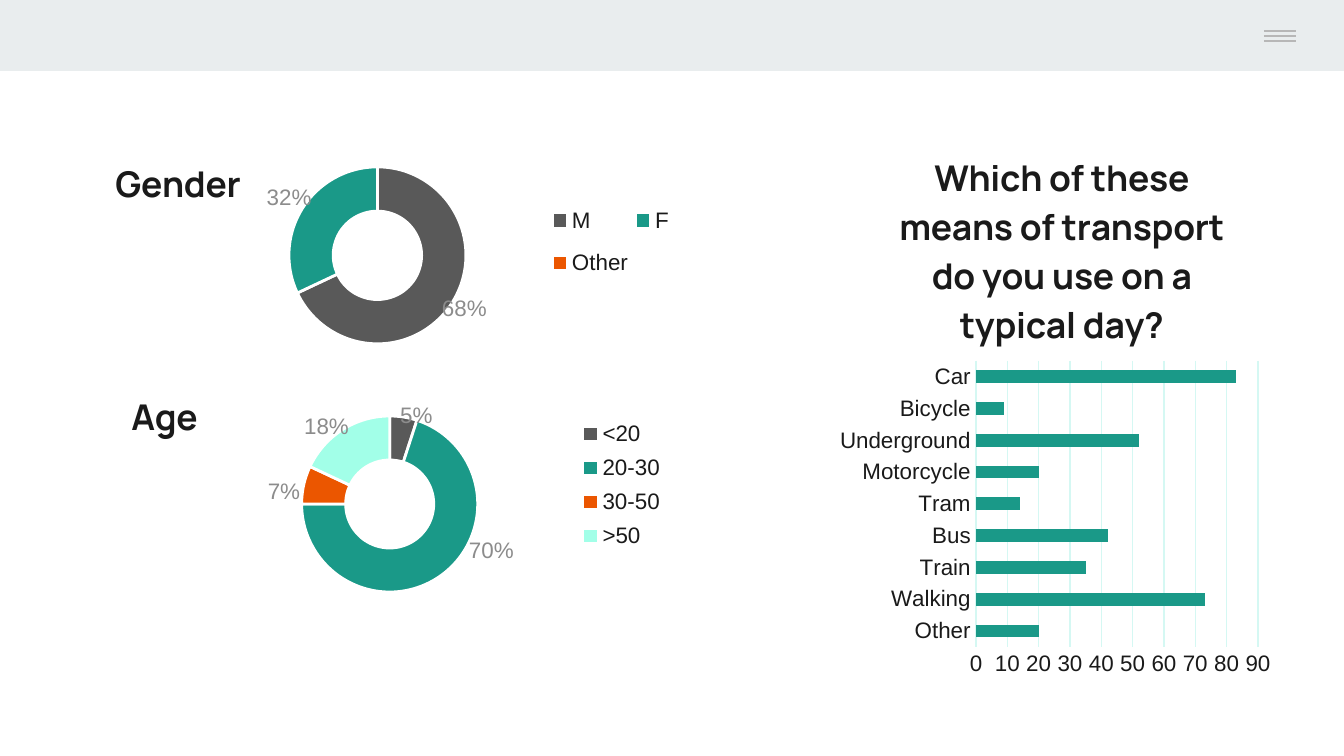
from copy import deepcopy
from dataclasses import dataclass

from pptx import Presentation
from pptx import util as u
from pptx.chart.data import CategoryChartData
from pptx.dml.color import RGBColor
from pptx.enum import chart as charts, shapes
from pptx.oxml import parse_xml
from pptx.oxml.ns import nsdecls, qn

SCALE = 914400 / 134.4


@dataclass(frozen=True)
class Theme:
    """Colours, fonts and type sizes of the slide."""
    band: str = "E9EDEE"
    menu: str = "B7B7B7"
    white: str = "FFFFFF"
    ink: str = "1A1A1A"
    label: str = "8C8C8C"
    grid: str = "D5F8F3"
    teal: str = "1A9988"
    slices: tuple = ("595959", "1A9988", "EB5600", "A2FFE8")
    body_font: str = "Arial"
    title_font: str = "Manrope"
    base_size: float = 10
    body_size: float = 12
    title_size: float = 19
    hairline: float = 0.75


THEME = Theme()


def px(length):
    """Turn whole px into EMU."""
    return u.Emu(round(length * SCALE))


def rgb(value):
    """Turn a hex string into a colour."""
    return RGBColor.from_string(value)


def style_font(font, colour, size=THEME.body_size, name=THEME.body_font, bold=False):
    """Set face, size, weight and colour of a font."""
    font.name, font.size, font.bold = name, u.Pt(size), bold
    font.color.rgb = rgb(colour)


def style_line(line, colour, width=THEME.hairline):
    """Set colour and width of a line."""
    line.color.rgb = rgb(colour)
    line.width = u.Pt(width)


def add_rectangle(page, box, fill, border=None):
    """Draw a plain rectangle with an optional border."""
    shape = page.shapes.add_shape(shapes.MSO_SHAPE.RECTANGLE, *map(px, box))
    shape.shadow.inherit = False
    shape.fill.solid()
    shape.fill.fore_color.rgb = rgb(fill)
    if border:
        style_line(shape.line, border, 2)
    else:
        shape.line.fill.background()


def add_menu_icon(page, left, top, width, gap):
    """Draw three evenly spaced menu lines."""
    for row in range(3):
        y = px(top + row * gap)
        line = page.shapes.add_connector(
            shapes.MSO_CONNECTOR.STRAIGHT, px(left), y, px(left + width), y)
        style_line(line.line, THEME.menu)
        line._element.spPr.append(parse_xml(f"<a:effectLst {nsdecls('a')}/>"))


def layout_xml(values, modes=()):
    """Build a manual chart layout from named fractions."""
    parts = [*modes, *((name, f"{value:.3f}") for name, value in values.items())]
    inner = "".join(f'<c:{name} val="{value}"/>' for name, value in parts)
    return parse_xml(f"<c:layout {nsdecls('c')}><c:manualLayout>{inner}"
                     "</c:manualLayout></c:layout>")


def place(element, index, frame, spot, inner=False):
    """Pin a chart part to a spot on the page inside its frame."""
    left, top, width, height = frame
    values = {"x": (spot[0] - left) / width, "y": (spot[1] - top) / height}
    if len(spot) == 4:
        values.update(w=spot[2] / width, h=spot[3] / height)
    modes = [("layoutTarget", "inner")] if inner else []
    modes += [("xMode", "edge"), ("yMode", "edge")]
    for old in element.findall(qn("c:layout")):
        element.remove(old)
    element.insert(index, layout_xml(values, modes))


def add_chart(page, kind, frame, data, title, title_spot, plot_spot):
    """Add a titled one-series chart with a pinned plot area."""
    chart_data = CategoryChartData()
    chart_data.categories = list(data)
    chart_data.add_series("Series 1", list(data.values()))
    chart = page.shapes.add_chart(kind, *map(px, frame), chart_data).chart
    style_font(chart.font, THEME.teal, THEME.base_size)
    span = chart.chart_title.text_frame.paragraphs[0].add_run()
    span.text = title
    style_font(span.font, THEME.ink, THEME.title_size, THEME.title_font, True)
    chart.chart_title.include_in_layout = False
    place(chart.chart_title._element, 1, frame, title_spot)
    place(chart._chartSpace.chart.plotArea, 0, frame, plot_spot, inner=True)
    chart.plots[0].vary_by_categories = False
    return chart


def add_percent_labels(series, frame, offsets):
    """Show percentages moved by px offsets, hiding those without one."""
    labels = series.data_labels
    labels.show_value, labels.show_percentage = False, True
    labels.number_format, labels.number_format_is_linked = "0%", False
    style_font(labels.font, THEME.label)
    group = labels._element
    for leader in group.findall(qn("c:showLeaderLines")):
        leader.set("val", "0")
    shared = [part for part in group if part.tag != qn("c:showLeaderLines")]
    for index, offset in enumerate(offsets):
        label = parse_xml(f'<c:dLbl {nsdecls("c")}><c:idx val="{index}"/></c:dLbl>')
        if offset:
            label.append(layout_xml({"x": offset[0] / frame[2], "y": offset[1] / frame[3]}))
            label.extend([deepcopy(part) for part in shared])
        else:
            label.append(parse_xml(f'<c:delete {nsdecls("c")} val="1"/>'))
        group.insert(index, label)


def add_doughnut(page, frame, data, title, title_spot, plot_spot, legend_spot, offsets):
    """Add a doughnut chart with a legend and percentages."""
    chart = add_chart(page, charts.XL_CHART_TYPE.DOUGHNUT, frame, data,
                      title, title_spot, plot_spot)
    chart.plots[0].vary_by_categories = True
    chart.has_legend = True
    chart.legend.position = charts.XL_LEGEND_POSITION.BOTTOM
    chart.legend.include_in_layout = False
    style_font(chart.legend.font, THEME.ink)
    place(chart.legend._element, 1, frame, legend_spot)
    series = chart.plots[0].series[0]
    for index, colour in zip(range(len(data)), THEME.slices):
        slice_format = series.points[index].format
        slice_format.fill.solid()
        slice_format.fill.fore_color.rgb = rgb(colour)
        style_line(slice_format.line, THEME.white, 1.5)
    add_percent_labels(series, frame, offsets)
    for hole in chart.plots[0]._element.findall(qn("c:holeSize")):
        hole.set("val", "75")


def add_bars(page, frame, data, title, title_spot, plot_spot):
    """Add a horizontal bar chart with pale vertical gridlines."""
    chart = add_chart(page, charts.XL_CHART_TYPE.BAR_STACKED, frame, data,
                      title, title_spot, plot_spot)
    chart.has_legend = False
    plot = chart.plots[0]
    plot.gap_width, plot.overlap = 150, 100
    fill = plot.series[0].format.fill
    fill.solid()
    fill.fore_color.rgb = rgb(THEME.teal)
    for axis in (chart.category_axis, chart.value_axis):
        axis.major_tick_mark = axis.minor_tick_mark = charts.XL_TICK_MARK.NONE
        style_font(axis.tick_labels.font, THEME.ink)
    style_line(chart.category_axis.format.line, THEME.grid)
    values = chart.value_axis
    values.minimum_scale, values.maximum_scale, values.major_unit = 0, 90, 10
    values.format.line.fill.background()
    values.has_major_gridlines = True
    style_line(values.major_gridlines.format.line, THEME.grid)


def main():
    """Build and save the survey slide."""
    deck = Presentation()
    deck.slide_width, deck.slide_height = px(1344), px(756)
    page = deck.slides.add_slide(deck.slide_layouts[6])
    add_rectangle(page, (0, 0, 1344, 71), THEME.band)
    add_rectangle(page, (1218, 0, 126, 67), THEME.band)
    add_menu_icon(page, 1264, 31, 32, 5)
    add_rectangle(page, (106, 153, 188, 69), THEME.white, THEME.white)
    transport = {"Other": 20, "Walking": 73, "Train": 35, "Bus": 42, "Tram": 14,
                 "Motorcycle": 20, "Underground": 52, "Bicycle": 9, "Car": 83}
    add_bars(page, (831, 114, 449, 688 - 0), transport,
             "Which of these means of transport do you use on a typical day?",
             (893, 143), (976, 361, 282, 286))
    add_doughnut(page, (65, 114, 687, 265), {"M": 68, "F": 32, "Other": 0},
                 "Gender", (109, 149), (289, 167, 177, 177), (545, 190, 132, 104),
                 [(31, 18), (-32, -22), None])
    add_doughnut(page, (102, 360, 677, 247), {"<20": 5, "20-30": 70, "30-50": 7, ">50": 18},
                 "Age", (125, 382), (296, 416, 187, 176), (574, 412, 96, 146),
                 [(16, -23), (63, -7), (-41, 2), (-28, -21)])
    deck.save("out.pptx")


if __name__ == "__main__":
    main()
